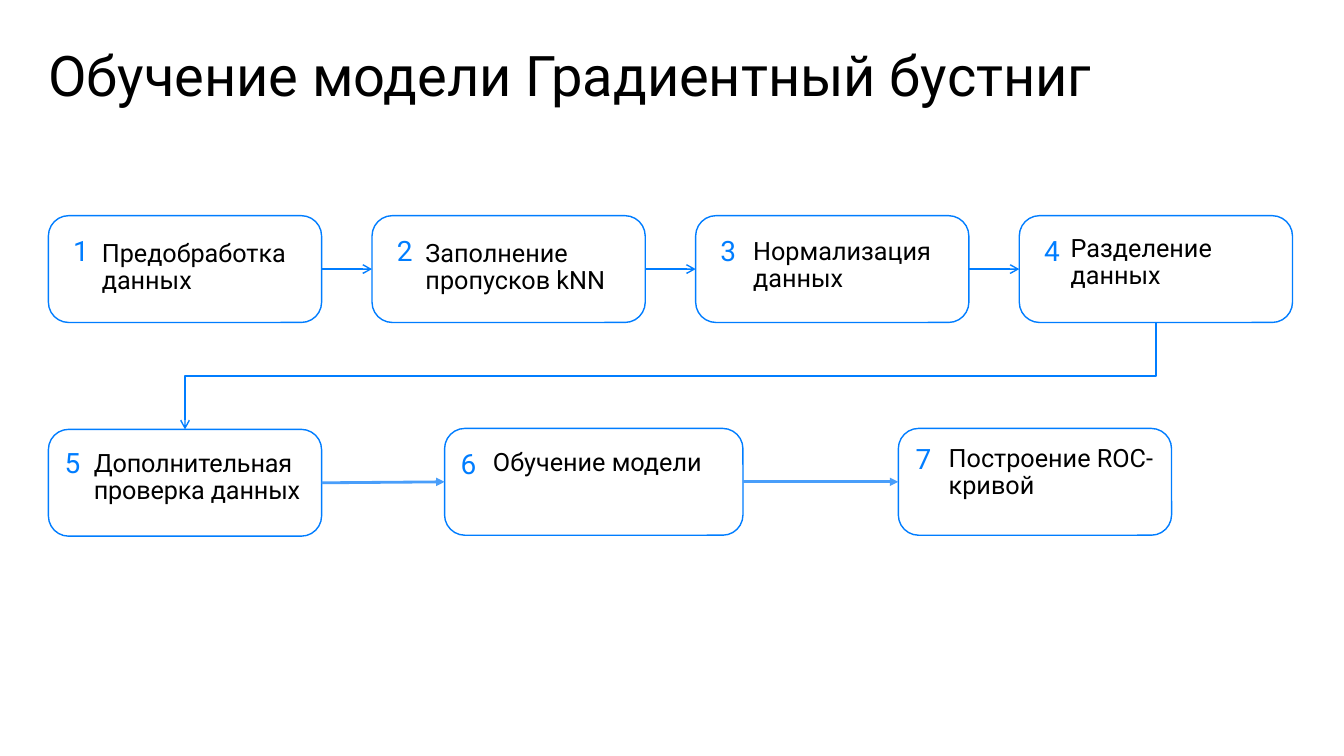
import pptx
import pptx.dml.color
import pptx.enum.shapes
import pptx.enum.text
import pptx.oxml
import pptx.oxml.ns
import pptx.util

HEX = {"ink": "000000", "blue": "007DFF", "sky": "499EFA", "white": "FFFFFF"}
FONT = "Roboto"
WIDE, HIGH = 13.33, 7.5
RIGHT, LEFT, FOOT, TOP = 3, 1, 2, 0


def color(name):
    return pptx.dml.color.RGBColor.from_string(HEX[name])


def assign(item, values):
    for key, value in values.items():
        setattr(item, key, value)


class Board:
    """Draws on one slide; all lengths are percent of the slide's size."""

    def __init__(self, deck):
        self.slide = deck.slides.add_slide(deck.slide_layouts[6])
        self.shapes = self.slide.shapes

    def area(self, x, y, w, h):
        return [pptx.util.Inches(part * size / 100)
                for part, size in ((x, WIDE), (y, HIGH), (w, WIDE), (h, HIGH))]

    def text(self, words, area, size, ink="ink", lead=None, low=False, grow=True, track=None):
        box = self.shapes.add_textbox(*self.area(*area))
        fit = pptx.enum.text.MSO_AUTO_SIZE
        side = pptx.enum.text.MSO_ANCHOR
        assign(box.text_frame, {
            "margin_left": 0, "margin_right": 0, "margin_top": 0, "margin_bottom": 0,
            "word_wrap": True,
            "auto_size": fit.SHAPE_TO_FIT_TEXT if grow else fit.NONE,
            "vertical_anchor": side.BOTTOM if low else side.TOP,
        })
        para = box.text_frame.paragraphs[0]
        para.line_spacing = lead
        run = para.add_run()
        run.text = words
        assign(run.font, {"name": FONT, "size": pptx.util.Pt(size)})
        run.font.color.rgb = color(ink)
        if track:
            run.font._element.set("spc", str(track))

    def card(self, area):
        kind = pptx.enum.shapes.MSO_SHAPE.ROUNDED_RECTANGLE
        card = self.shapes.add_shape(kind, *self.area(*area))
        card.adjustments[0] = 0.19
        card.shadow.inherit = False
        card.fill.solid()
        card.fill.fore_color.rgb = color("white")
        card.line.color.rgb = color("blue")
        card.line.width = pptx.util.Pt(1)
        return card

    def arrow(self, start, end, tone="blue", width=1, head="arrow", turn=False):
        kinds = pptx.enum.shapes.MSO_CONNECTOR
        link = self.shapes.add_connector(kinds.ELBOW if turn else kinds.STRAIGHT, 0, 0, 0, 0)
        link.begin_connect(start, FOOT if turn else RIGHT)
        link.end_connect(end, TOP if turn else LEFT)
        if turn:
            self.rotate(link)
        link.line.color.rgb = color(tone)
        link.line.width = pptx.util.Pt(width)
        space = pptx.oxml.ns.nsdecls("a")
        link.line._ln.append(pptx.oxml.parse_xml(f'<a:tailEnd {space} type="{head}"/>'))
        link._element.spPr.append(pptx.oxml.parse_xml(f"<a:effectLst {space}/>"))

    def rotate(self, link):
        """Turn an elbow by 90 degrees so that it leaves downwards."""
        span, drop = link.begin_x - link.end_x, link.end_y - link.begin_y
        mid_x = (link.begin_x + link.end_x) // 2
        mid_y = (link.begin_y + link.end_y) // 2
        assign(link, {"left": mid_x - drop // 2, "top": mid_y - span // 2,
                      "width": drop, "height": span})
        assign(link._element.spPr.xfrm, {"rot": 90, "flipH": False, "flipV": False})


# Card grid
EDGE, PITCH, CARD_W, CARD_H = 3.6, 24.08, 20.33, 14.13
ROW_A, ROW_B = 28.53, 56.67

# Words, card (x, y, width), number offset, label offset, label size
STEPS = [
    ("Предобработка данных", (EDGE, ROW_A, CARD_W), (1.84, 2.4), (3.98, 3.2), (15.3, 7.33)),
    ("Заполнение пропусков kNN", (EDGE + PITCH, ROW_A, CARD_W), (1.84, 2.4), (3.98, 3.2), (17.1, 7.33)),
    ("Нормализация данных", (EDGE + 2 * PITCH, ROW_A, CARD_W), (1.84, 2.4), (4.28, 2.93), (17.1, 7.33)),
    ("Разделение данных", (EDGE + 3 * PITCH, ROW_A, CARD_W), (1.84, 2.4), (3.83, 2.67), (15.15, 7.2)),
    ("Дополнительная проверка данных", (EDGE, ROW_B + 0.13, CARD_W), (1.2, 2.13), (3.38, 2.67), (18.53, 7.33)),
    ("Обучение модели", (33.08, ROW_B, 22.2), (1.2, 2.4), (3.6, 2.8), (17.1, 3.6)),
    ("Построение ROC-кривой", (66.84, ROW_B, CARD_W), (1.28, 1.73), (3.75, 2.13), (17.1, 7.33)),
]


def main():
    deck = pptx.Presentation()
    assign(deck, {"slide_width": pptx.util.Inches(WIDE),
                  "slide_height": pptx.util.Inches(HIGH)})
    board = Board(deck)

    # Title
    board.text("Обучение модели Градиентный бустниг", (EDGE, 6.4, 92.72, 4.67), 40,
               lead=0.9, grow=False)

    # Numbered steps
    cards = []
    for num, (words, (x, y, w), (num_x, num_y), (tag_x, tag_y), size) in enumerate(STEPS, 1):
        cards.append(board.card((x, y, w, CARD_H)))
        board.text(str(num), (x + num_x, y + num_y, 3.53, 4.53), 20, "blue")
        board.text(words, (x + tag_x, y + tag_y, *size), 18, lead=0.9, low=True,
                   track=-10 if num == 5 else None)

    # Arrows along the rows, and the turn between them
    for i, (start, end) in enumerate(zip(cards, cards[1:])):
        if i < 3:
            board.arrow(start, end)
        elif i == 3:
            board.arrow(start, end, turn=True)
        else:
            board.arrow(start, end, "sky", 2, "triangle")

    deck.save("out.pptx")


if __name__ == "__main__":
    main()
